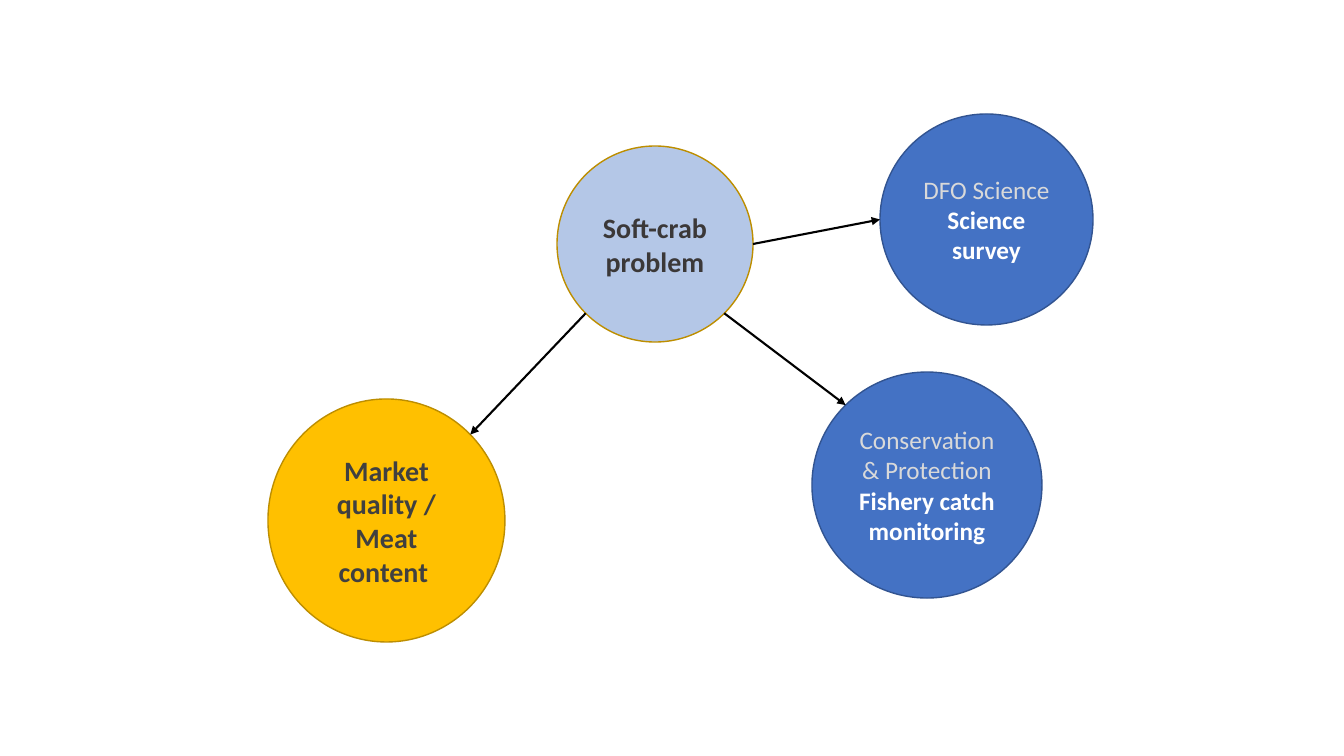
"""Build a slide that links the soft-crab problem to three concerns."""
import math

import lxml.etree
import pptx
import pptx.dml.color
import pptx.enum.shapes
import pptx.enum.text
import pptx.oxml.ns
import pptx.util

SCALE = 914400 / 100.8
PALE_BLUE = pptx.dml.color.RGBColor(0xB4, 0xC7, 0xE7)
BLUE = pptx.dml.color.RGBColor(0x44, 0x72, 0xC4)
DARK_BLUE = pptx.dml.color.RGBColor(0x32, 0x54, 0x91)
GOLD = pptx.dml.color.RGBColor(0xFF, 0xC0, 0x00)
DARK_GOLD = pptx.dml.color.RGBColor(0xBD, 0x8E, 0x00)
CHARCOAL = pptx.dml.color.RGBColor(0x3B, 0x38, 0x38)
DARK_GREY = pptx.dml.color.RGBColor(0x40, 0x40, 0x40)
LIGHT_GREY = pptx.dml.color.RGBColor(0xD9, 0xD9, 0xD9)
WHITE = pptx.dml.color.RGBColor(0xFF, 0xFF, 0xFF)
BLACK = pptx.dml.color.RGBColor(0x00, 0x00, 0x00)


def emu(pixels):
    """Turn pixels into EMU."""
    return pptx.util.Emu(round(pixels * SCALE))


def rim_point(circle, degrees):
    """Return the point on a circle's rim, clockwise from the right."""
    angle = math.radians(degrees)
    across = circle.left + circle.width / 2 * (1 + math.cos(angle))
    down = circle.top + circle.height / 2 * (1 + math.sin(angle))
    return round(across), round(down)


deck = pptx.Presentation()
deck.slide_width = emu(1344)
deck.slide_height = emu(756)
page = deck.slides.add_slide(deck.slide_layouts[6])

HEADING = {"size": pptx.util.Pt(20), "bold": True}
OWNER = {"size": pptx.util.Pt(18), "bold": False}
TASK = {"size": pptx.util.Pt(18), "bold": True}

circle_rows = [
    ("problem", (557, 146, 196, 196), PALE_BLUE, DARK_GOLD,
     [("Soft-crab problem", HEADING, CHARCOAL)]),
    ("market", (268, 399, 237, 243), GOLD, DARK_GOLD,
     [("Market quality / Meat content ", HEADING, DARK_GREY)]),
    ("survey", (880, 114, 213, 211), BLUE, DARK_BLUE,
     [("DFO Science ", OWNER, LIGHT_GREY), ("Science survey", TASK, WHITE)]),
    ("monitoring", (812, 372, 230, 226), BLUE, DARK_BLUE,
     [("Conservation & Protection ", OWNER, LIGHT_GREY),
      ("Fishery catch monitoring", TASK, WHITE)]),
]

circles = {}
for name, bounds, fill_color, line_color, spans in circle_rows:
    circle = page.shapes.add_shape(
        pptx.enum.shapes.MSO_SHAPE.OVAL, *[emu(length) for length in bounds])
    circle.shadow.inherit = False
    circle.fill.solid()
    circle.fill.fore_color.rgb = fill_color
    circle.line.color.rgb = line_color
    circle.line.width = pptx.util.Pt(1)
    frame = circle.text_frame
    frame.word_wrap = True
    frame.vertical_anchor = pptx.enum.text.MSO_ANCHOR.MIDDLE
    para = frame.paragraphs[0]
    para.alignment = pptx.enum.text.PP_ALIGN.CENTER
    for words, format_values, text_color in spans:
        span = para.add_run()
        span.text = words
        span.font.name = "Calibri"
        span.font.color.rgb = text_color
        for attribute, value in format_values.items():
            setattr(span.font, attribute, value)
    circles[name] = circle

for target, start_angle, end_angle in [
        ("survey", 0, 180), ("monitoring", 45, 225), ("market", 135, 315)]:
    arrow = page.shapes.add_connector(
        pptx.enum.shapes.MSO_CONNECTOR.STRAIGHT,
        *rim_point(circles["problem"], start_angle),
        *rim_point(circles[target], end_angle))
    arrow.line.color.rgb = BLACK
    arrow.line.width = pptx.util.Pt(1.5)
    lxml.etree.SubElement(
        arrow.line._get_or_add_ln(), pptx.oxml.ns.qn("a:tailEnd"), type="triangle")
    lxml.etree.SubElement(
        arrow._element.spPr, pptx.oxml.ns.qn("a:effectLst"))

deck.save("out.pptx")
